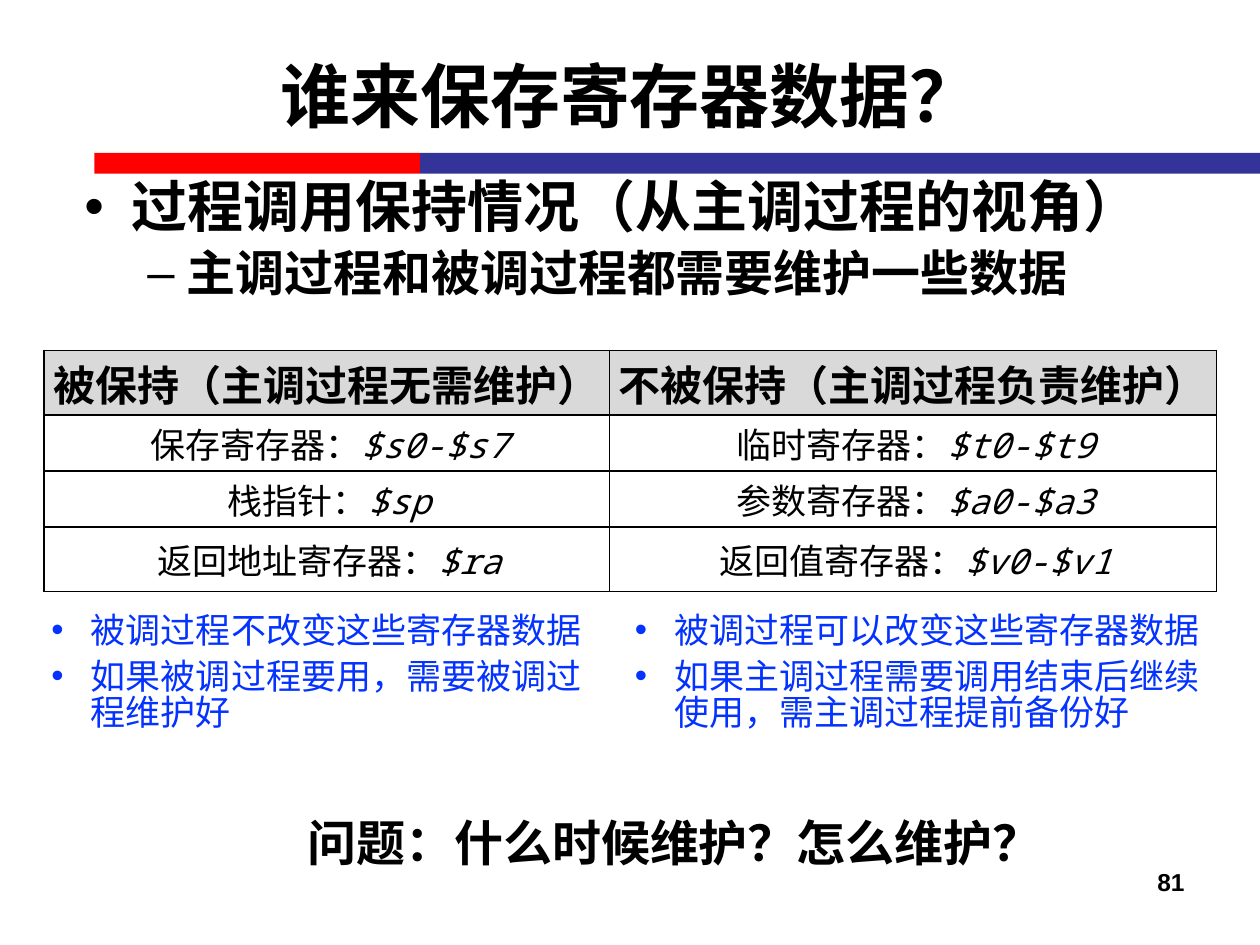
from lxml import etree
from pptx import Presentation
from pptx.dml.color import RGBColor
from pptx.enum import shapes, text
from pptx.oxml.ns import qn
from pptx.util import Pt

BLACK = RGBColor(0x00, 0x00, 0x00)
WHITE = RGBColor(0xFF, 0xFF, 0xFF)
RED = RGBColor(0xFF, 0x00, 0x00)
NAVY = RGBColor(0x33, 0x33, 0x99)
BLUE = RGBColor(0x04, 0x32, 0xFF)
GREY = RGBColor(0xD9, 0xD9, 0xD9)
CJK = "Noto Sans CJK SC"
MONO = "Noto Sans Mono"


def add_run(p, words, size, font="Arial", color=BLACK, bold=False, italic=False):
    r = p.add_run()
    r.text = words
    r.font.size, r.font.name = Pt(size), font
    r.font.bold, r.font.italic = bold, italic
    r.font.color.rgb = color
    etree.SubElement(r._r.rPr, qn("a:ea"), typeface=CJK)


def set_bullet(p, char, left, hang):
    """Give a paragraph a bullet and a hanging indent, in points."""
    pPr = p._p.get_or_add_pPr()
    pPr.set("marL", str(Pt(left)))
    pPr.set("indent", str(-Pt(hang)))
    etree.SubElement(pPr, qn("a:buFont"), typeface="Arial")
    etree.SubElement(pPr, qn("a:buChar"), char=char)


prs = Presentation()
prs.slide_width, prs.slide_height = Pt(720), Pt(540)
s = prs.slides.add_slide(prs.slide_layouts[1])

# Two-colour rule under the title
for left, width, color in [(54, 186, RED), (240, 480, NAVY)]:
    sp = s.shapes.add_shape(shapes.MSO_SHAPE.RECTANGLE, Pt(left), Pt(87.3), Pt(width), Pt(12))
    sp.shadow.inherit = False
    sp.fill.solid()
    sp.fill.fore_color.rgb = color
    sp.line.fill.background()

# Title
title = s.shapes.title
title.left, title.top, title.width, title.height = Pt(36), Pt(9), Pt(648), Pt(90)
p = title.text_frame.paragraphs[0]
p.alignment = text.PP_ALIGN.CENTER
add_run(p, "谁来保存寄存器数据？", 40, bold=True)

# Main points
body = s.placeholders[1]
body.left, body.top, body.width, body.height = Pt(41), Pt(98.6), Pt(621), Pt(343)
tf = body.text_frame
tf.auto_size = text.MSO_AUTO_SIZE.NONE
points = [
    ("过程调用保持情况（从主调过程的视角）", 32, "Arial", "•", 27, 27),
    ("主调过程和被调过程都需要维护一些数据", 28, CJK, "–", 58.5, 22.5),
]
for level, (words, size, font, char, left, hang) in enumerate(points):
    p = tf.add_paragraph() if level else tf.paragraphs[0]
    p.level = level
    set_bullet(p, char, left, hang)
    p.line_spacing = 0.9
    p.space_before = Pt(5.6 * level)
    add_run(p, words, size, font, bold=True)

# Register table
rows = [
    [("被保持（主调过程无需维护）", ""), ("不被保持（主调过程负责维护）", "")],
    [("保存寄存器：", "$s0-$s7"), ("临时寄存器：", "$t0-$t9")],
    [("栈指针：", "$sp"), ("参数寄存器：", "$a0-$a3")],
    [("返回地址寄存器：", "$ra"), ("返回值寄存器：", "$v0-$v1")],
]
table = s.shapes.add_table(4, 2, Pt(25.2), Pt(200.2), Pt(670), Pt(138)).table
for column, width in zip(table.columns, (323, 347)):
    column.width = Pt(width)
for row, height in zip(table.rows, (37, 32, 32, 37)):
    row.height = Pt(height)
for i, row in enumerate(rows):
    for j, (label, registers) in enumerate(row):
        cell = table.cell(i, j)
        cell.margin_left = Pt(3 if i else 0)
        cell.margin_right = cell.margin_top = cell.margin_bottom = 0
        cell.vertical_anchor = text.MSO_ANCHOR.MIDDLE
        tcPr = cell._tc.get_or_add_tcPr()
        for side in ("lnL", "lnR", "lnT", "lnB"):
            ln = etree.SubElement(tcPr, qn("a:" + side), w=str(Pt(1)))
            fill = etree.SubElement(ln, qn("a:solidFill"))
            etree.SubElement(fill, qn("a:srgbClr"), val=str(BLACK))
        cell.fill.solid()
        cell.fill.fore_color.rgb = WHITE if i else GREY
        p = cell.text_frame.paragraphs[0]
        p.alignment = text.PP_ALIGN.CENTER
        add_run(p, label, 20 if i else 24, bold=i == 0)
        if registers:
            add_run(p, registers, 20, MONO, italic=True)

# Notes under each column
notes = [
    (22.3, 317.5, ["被调过程不改变这些寄存器数据", "如果被调过程要用，需要被调过程维护好"]),
    (355.7, 341.3, ["被调过程可以改变这些寄存器数据",
                    "如果主调过程需要调用结束后继续使用，需主调过程提前备份好"]),
]
for left, width, lines in notes:
    tf = s.shapes.add_textbox(Pt(left), Pt(347.8), Pt(width), Pt(85.7)).text_frame
    tf.word_wrap = True
    for i, words in enumerate(lines):
        p = tf.add_paragraph() if i else tf.paragraphs[0]
        set_bullet(p, "•", 22.5, 22.5)
        p.line_spacing = 0.85
        p.space_after = Pt(6)
        add_run(p, words, 20, CJK, BLUE)

# Closing question and page number
closing = [
    (149, 460.8, 473, 41, "问题：什么时候维护？怎么维护？", 28, CJK, text.PP_ALIGN.CENTER),
    (516, 491.8, 168, 37.4, "81", 14, "Arial", text.PP_ALIGN.RIGHT),
]
for left, top, width, height, words, size, font, align in closing:
    tf = s.shapes.add_textbox(Pt(left), Pt(top), Pt(width), Pt(height)).text_frame
    tf.word_wrap = True
    p = tf.paragraphs[0]
    p.alignment = align
    add_run(p, words, size, font, bold=True)

prs.save("out.pptx")
